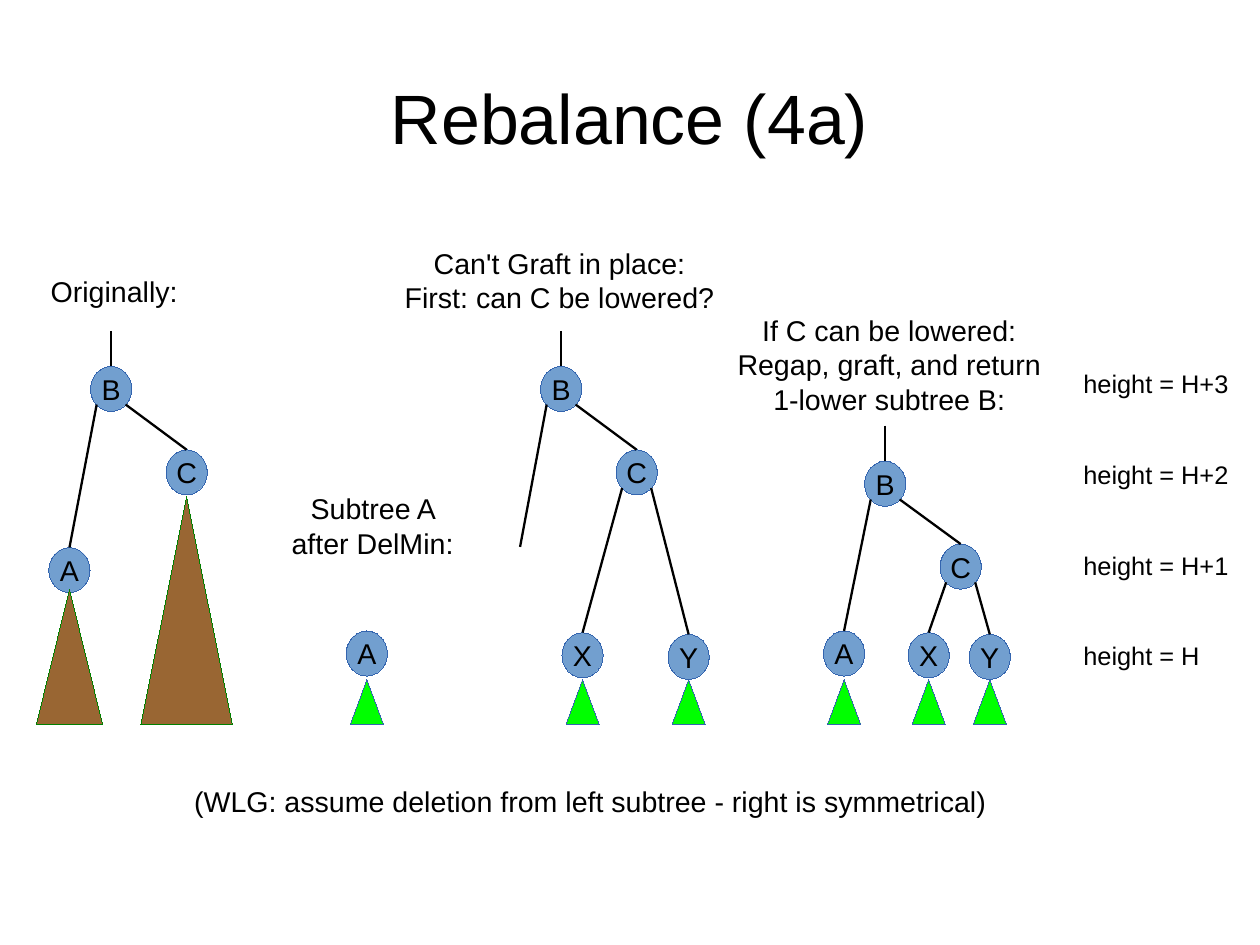
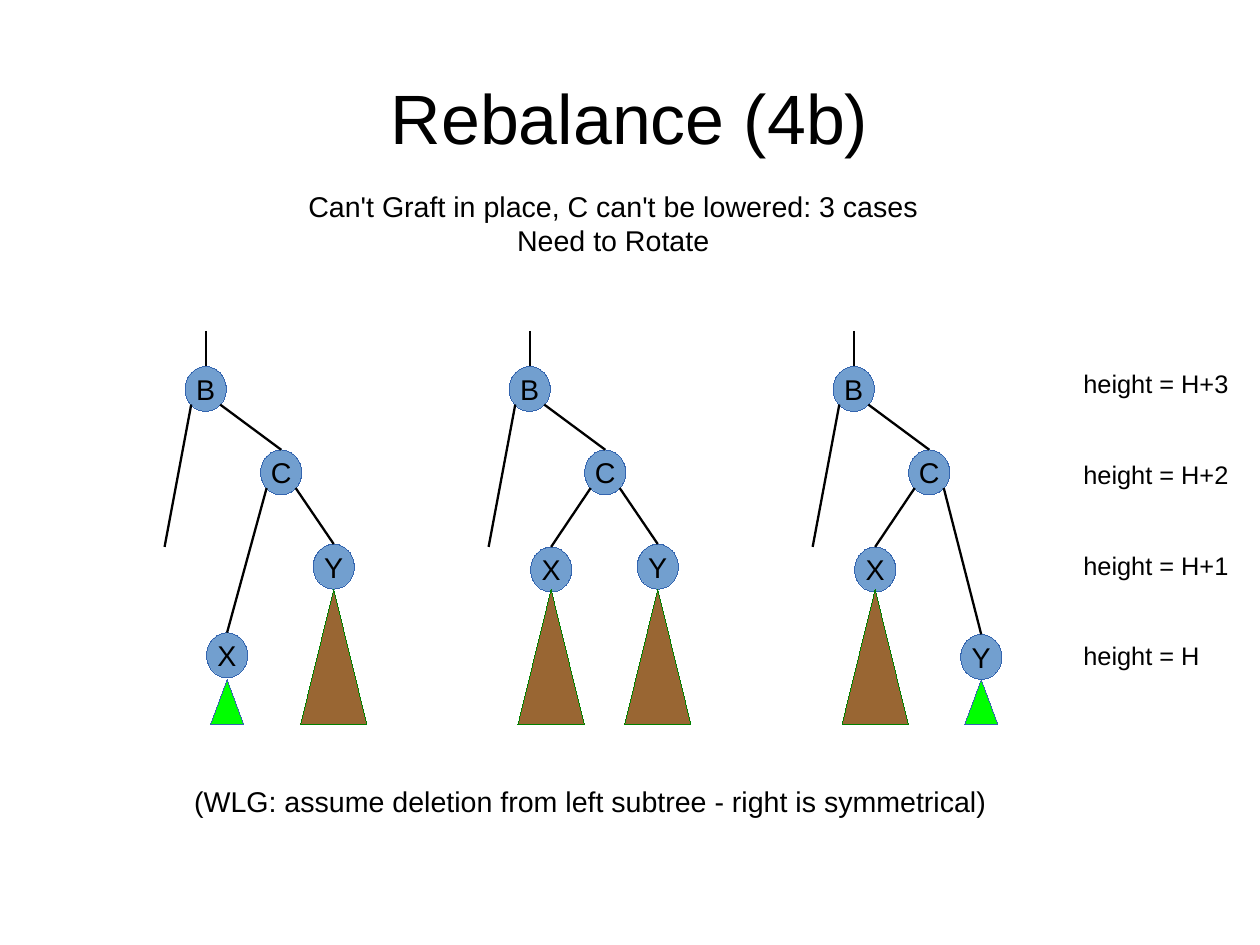
from dataclasses import dataclass
from typing import NamedTuple, Optional

from lxml.etree import SubElement
from pptx import Presentation
from pptx.dml.color import RGBColor
from pptx.enum.shapes import MSO_CONNECTOR as Connector
from pptx.enum.shapes import MSO_SHAPE as Shape
from pptx.enum.text import MSO_ANCHOR as Anchor
from pptx.enum.text import PP_ALIGN as Align
from pptx.oxml.ns import qn
from pptx.util import Cm, Inches, Pt

FONT = "Arial"
BLACK, BLUE, BLUE_EDGE = "000000", "729FCF", "3465AF"
NODE_WIDTH, NODE_HEIGHT = 3.6, 3.95
EDGE_ACROSS, EDGE_DOWN = 1.27, 3.35
STEM = 3.1
SUBTREE_BASE = 63.35


class Subtree(NamedTuple):
    width: float
    height: float
    fill: str
    edge: str


LOW = Subtree(2.9, 3.9, "00FF00", BLUE_EDGE)
MIDDLE = Subtree(5.8, 11.8, "996633", "008000")
HIGH = Subtree(8, 19.9, "996633", "008000")


@dataclass
class Node:
    label: str
    offset: float
    top: float
    subtree: Optional[Subtree] = None
    left: Optional["Node"] = None
    right: Optional["Node"] = None


class Tree(NamedTuple):
    column: float
    root: Node
    has_stem: bool = True


class Note(NamedTuple):
    text: str
    left: float
    top: float
    width: float
    height: float
    align: Align = Align.CENTER
    wrap: bool = False


class PageContent(NamedTuple):
    title: str
    notes: list
    trees: list


def grid(cells: float) -> int:
    return Inches(cells / 10)


def color(code: str) -> RGBColor:
    return RGBColor.from_string(code)


def write(frame, text: str, *, size=18, align=Align.CENTER, anchor=Anchor.TOP,
          wrap=False, inset=True) -> None:
    frame.word_wrap = wrap
    frame.vertical_anchor = anchor
    frame.margin_left = frame.margin_right = grid(1 if inset else 0)
    frame.margin_top = frame.margin_bottom = grid(0.5 if inset else 0)
    for index, line in enumerate(text.split("\n")):
        para = frame.paragraphs[0] if index == 0 else frame.add_paragraph()
        para.alignment = align
        span = para.add_run()
        span.text = line
        span.font.name = FONT
        span.font.size = Pt(size)
        span.font.color.rgb = color(BLACK)


def add_text(page, note: Note, **style) -> None:
    box = page.shapes.add_textbox(grid(note.left), grid(note.top),
                                  grid(note.width), grid(note.height))
    write(box.text_frame, note.text, align=note.align, wrap=note.wrap, **style)


def add_figure(page, kind: Shape, center: float, top: float, width: float,
               height: float, fill: str, edge: str):
    figure = page.shapes.add_shape(kind, grid(center - width / 2), grid(top),
                                   grid(width), grid(height))
    figure.shadow.inherit = False
    figure.fill.solid()
    figure.fill.fore_color.rgb = color(fill)
    figure.line.color.rgb = color(edge)
    figure._element.spPr.find(qn("a:ln")).set("w", "0")
    return figure


def add_edge(page, start: tuple, end: tuple, target=None) -> None:
    edge = page.shapes.add_connector(Connector.STRAIGHT, *map(grid, start + end))
    edge.line.color.rgb = color(BLACK)
    edge.line.width = Pt(1.45)
    SubElement(edge._element.spPr, qn("a:effectLst"))
    if target is not None:
        edge.end_connect(target, 0)


def add_node(page, node: Node, column: float, start: Optional[tuple]) -> None:
    center = column + node.offset
    circle = None
    if node.label:
        circle = add_figure(page, Shape.OVAL, center, node.top, NODE_WIDTH,
                            NODE_HEIGHT, BLUE, BLUE_EDGE)
        write(circle.text_frame, node.label, anchor=Anchor.MIDDLE)
    if start:
        add_edge(page, start, (center, node.top), circle)
    if node.subtree:
        width, height, fill, edge = node.subtree
        add_figure(page, Shape.ISOSCELES_TRIANGLE, center, SUBTREE_BASE - height,
                   width, height, fill, edge)
    for child, side in ((node.left, -1), (node.right, 1)):
        if child:
            corner = (center + side * EDGE_ACROSS, node.top + EDGE_DOWN)
            add_node(page, child, column, corner)


def add_tree(page, tree: Tree) -> None:
    start = (tree.column, tree.root.top - STEM) if tree.has_stem else None
    add_node(page, tree.root, tree.column, start)


def root_b(left: Node, right: Node, top: float = 32.05) -> Node:
    return Node("B", 0, top, left=left, right=right)


def parent_c(x: Node, y: Node, top: float = 39.35) -> Node:
    return Node("C", 6.6, top, left=x, right=y)


REMOVED = Node("", -3.6, 47.85)
X_LOW = Node("X", 1.87, 55.35, LOW)
X_HIGH = Node("X", 1.87, 47.85, MIDDLE)
Y_LOW = Node("Y", 11.15, 55.5, LOW)
Y_HIGH = Node("Y", 11.2, 47.6, MIDDLE)

HEIGHTS = [
    Note(f"height = {name}", 93.8, 31.75 + 7.93 * row, 15.2, 5.5, Align.LEFT, True)
    for row, name in enumerate(["H+3", "H+2", "H+1", "H"])
]
ASSUMPTION = Note("(WLG: assume deletion from left subtree - right is symmetrical)",
                  16, 68.1, 75, 3.8, Align.LEFT, True)

PAGES = [
    PageContent(
        "Rebalance (4a)",
        [
            Note("Originally:", 3.45, 23.5, 15, 3.8, Align.LEFT, True),
            Note("Subtree A after DelMin:", 23.6, 42.5, 18, 9, wrap=True),
            Note("Can't Graft in place:\nFirst: can C be lowered?",
                 32.4, 21, 33.1, 6.6),
            Note("If C can be lowered:\nRegap, graft, and return\n"
                 "1-lower subtree B:", 61.6, 26.9, 32.4, 9.4),
        ],
        [
            Tree(9.73, root_b(Node("A", -3.65, 47.9, MIDDLE),
                              Node("C", 6.6, 39.35, HIGH))),
            Tree(32.1, Node("A", 0, 55.2, LOW), has_stem=False),
            Tree(49.1, root_b(REMOVED, parent_c(X_LOW, Y_LOW))),
            Tree(77.45, root_b(Node("A", -3.6, 55.2, LOW),
                               parent_c(Node("X", 3.8, 55.35, LOW),
                                        Node("Y", 9.15, 55.5, LOW), 47.6), 40.35)),
        ],
    ),
    PageContent(
        "Rebalance (4b)",
        [Note("Can't Graft in place, C can't be lowered: 3 cases\nNeed to Rotate",
              24, 16, 59.3, 6.6)],
        [
            Tree(18 + 28.35 * case, root_b(REMOVED, parent_c(x, y)))
            for case, (x, y) in enumerate(
                [(X_LOW, Y_HIGH), (X_HIGH, Y_HIGH), (X_HIGH, Y_LOW)])
        ],
    ),
]


def add_page(deck, content: PageContent) -> None:
    page = deck.slides.add_slide(deck.slide_layouts[6])
    add_text(page, Note(content.title, 5.5, 3.3, 99.2, 13.8, wrap=True),
             size=44, anchor=Anchor.MIDDLE, inset=False)
    for height in HEIGHTS:
        add_text(page, height, size=16)
    for note in content.notes + [ASSUMPTION]:
        add_text(page, note)
    for tree in content.trees:
        add_tree(page, tree)


def main() -> None:
    deck = Presentation()
    deck.slide_width, deck.slide_height = Cm(28), Cm(21)
    for content in PAGES:
        add_page(deck, content)
    deck.save("out.pptx")


if __name__ == "__main__":
    main()
